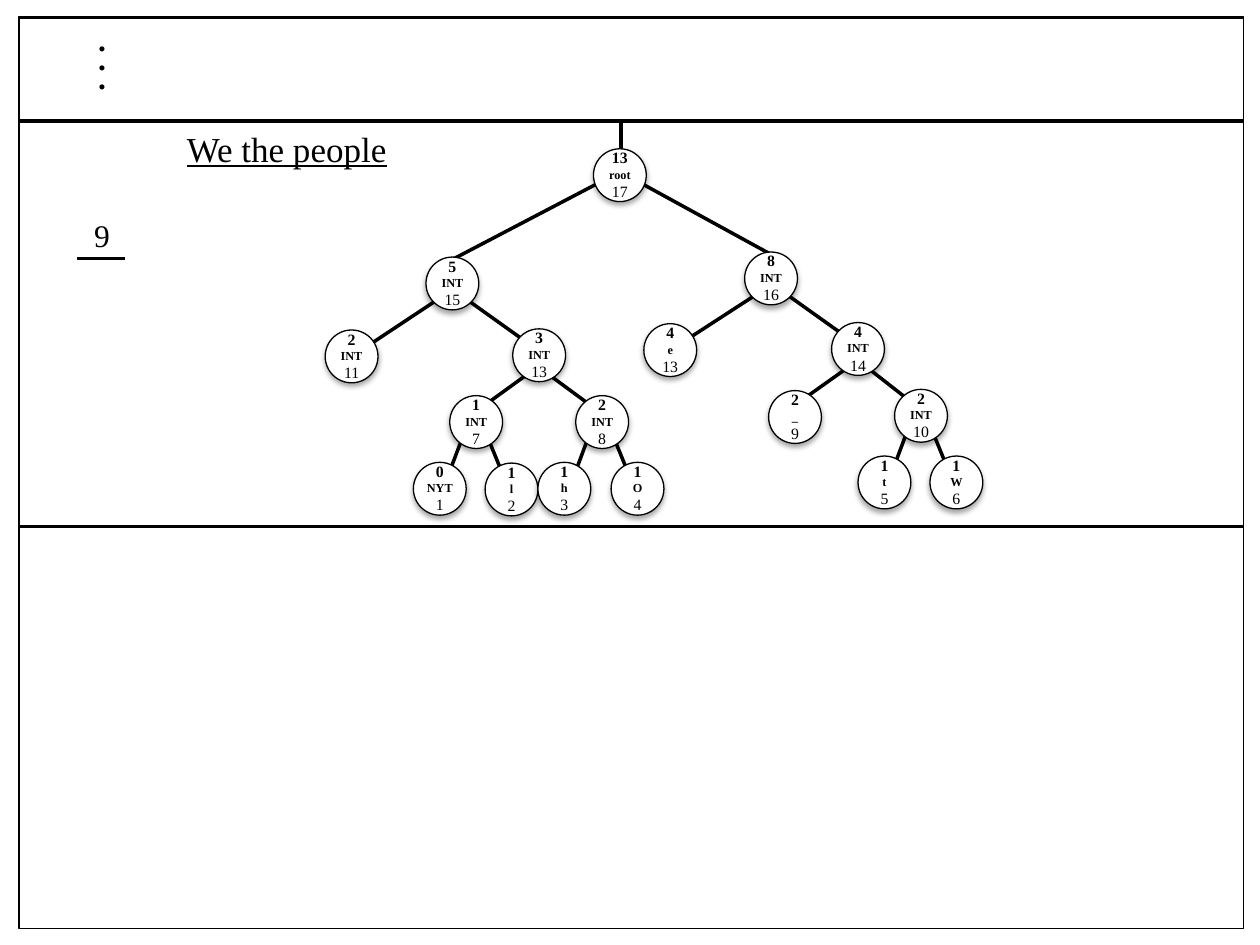
from lxml.etree import SubElement
from pptx import Presentation
from pptx.dml.color import RGBColor
from pptx.enum.shapes import MSO_CONNECTOR, MSO_SHAPE
from pptx.enum.text import MSO_ANCHOR, MSO_AUTO_SIZE, PP_ALIGN
from pptx.oxml.ns import qn
from pptx.util import Pt

BLACK = RGBColor(0, 0, 0)
WHITE = RGBColor(255, 255, 255)
DIAMETER = 30.2
TITLE_ONLY = 5

# left, top, then weight, symbol and number of each tree node
NODES = [
    (339.1, 85, "13", "root", "17"),
    (243.4, 146.9, "5", "INT", "15"),
    (425.5, 144, "8", "INT", "16"),
    (185.8, 188.6, "2", "INT", "11"),
    (293, 187.9, "3", "INT", "13"),
    (367.9, 185, "4", "e", "13"),
    (475.2, 184.3, "4", "INT", "14"),
    (257, 226.1, "1", "INT", "7"),
    (329, 226.1, "2", "INT", "8"),
    (439.2, 223.2, "2", "_", "9"),
    (511.2, 222.5, "2", "INT", "10"),
    (236.2, 264.2, "0", "NYT", "1"),
    (277.2, 264.6, "1", "l", "2"),
    (307.4, 264.2, "1", "h", "3"),
    (349.2, 264.2, "1", "O", "4"),
    (490.3, 260.6, "1", "t", "5"),
    (531.4, 260.6, "1", "W", "6"),
]

# parent end, then child end of each branch
BRANCHES = [
    (349.2, 100.8, 258.5, 148.3), (365.8, 104.4, 440.6, 145.4),
    (252, 169.9, 200.9, 203.8), (265, 169.9, 307.4, 200.2),
    (434.2, 167, 383, 200.2), (447.8, 167, 490.3, 197.3),
    (307.4, 209.5, 273.6, 234), (307.4, 209.5, 337.7, 231.8),
    (490.3, 205.9, 455.8, 230.4), (490.3, 205.9, 519.8, 229),
    (272.2, 229, 257, 269.3), (272.2, 234, 286.6, 269.3),
    (344.2, 228.2, 329, 269.3), (344.2, 234, 358.6, 269.3),
    (526.3, 225.4, 511.2, 265.7), (526.3, 230.4, 540.7, 265.7),
]


class Sketch:
    """Holds the style and the slide being drawn."""

    font = "Times New Roman"
    ink = BLACK
    paper = WHITE

    def __init__(self, slide):
        """Keep the slide that receives the elements."""
        self.slide = slide

    def fill_text(self, frame, lines, spacing=None):
        """Fill a text frame with centred lines of (text, size, format)."""
        frame.word_wrap = True
        frame.vertical_anchor = MSO_ANCHOR.TOP
        for index, (text, size, style) in enumerate(lines):
            para = frame.add_paragraph() if index else frame.paragraphs[0]
            para.alignment = PP_ALIGN.CENTER
            if spacing:
                para.line_spacing = spacing
            span = para.add_run()
            span.text = text
            span.font.name = self.font
            span.font.size = Pt(size)
            span.font.color.rgb = self.ink
            span.font.bold = style.get("bold", False)
            span.font.underline = style.get("underline", False)

    def text(self, left, top, width, height, lines, spacing=None, inset=7.2):
        """Add a text box."""
        box = self.slide.shapes.add_textbox(Pt(left), Pt(top), Pt(width), Pt(height))
        box.text_frame.margin_left = box.text_frame.margin_right = Pt(inset)
        self.fill_text(box.text_frame, lines, spacing)
        box.text_frame.auto_size = MSO_AUTO_SIZE.SHAPE_TO_FIT_TEXT

    def title(self, left, top, width, height, text, size):
        """Move the title placeholder and fill it with underlined text."""
        title = self.slide.shapes.title
        title.left, title.top = Pt(left), Pt(top)
        title.width, title.height = Pt(width), Pt(height)
        self.fill_text(title.text_frame, [(text, size, {"underline": True})])
        title.text_frame.auto_size = MSO_AUTO_SIZE.NONE

    def line(self, x1, y1, x2, y2):
        """Add a straight line without a shadow."""
        line = self.slide.shapes.add_connector(
            MSO_CONNECTOR.STRAIGHT, Pt(x1), Pt(y1), Pt(x2), Pt(y2))
        line.line.color.rgb = self.ink
        line.line.width = Pt(2)
        SubElement(line.element.spPr, qn("a:effectLst"))

    def outline(self, kind, left, top, width, height):
        """Add a thinly outlined preset shape without fill or shadow."""
        shape = self.slide.shapes.add_shape(
            kind, Pt(left), Pt(top), Pt(width), Pt(height))
        shape.shadow.inherit = False
        shape.fill.background()
        shape.line.color.rgb = self.ink
        shape.line.width = Pt(0.75)
        return shape

    def node(self, left, top, weight, symbol, number):
        """Add a shadowed tree node with its three lines of text."""
        circle = self.outline(MSO_SHAPE.OVAL, left, top, DIAMETER, DIAMETER)
        circle.fill.solid()
        circle.fill.fore_color.rgb = self.paper
        effects = circle.element.spPr.find(qn("a:effectLst"))
        shadow = SubElement(effects, qn("a:outerShdw"), blurRad=str(Pt(3.1)),
                            dist=str(Pt(1.8)), dir="5400000", rotWithShape="0")
        color = SubElement(shadow, qn("a:srgbClr"), val=str(self.ink))
        SubElement(color, qn("a:alpha"), val="35000")
        lines = [(weight, 9, {"bold": True}), (symbol, 7, {"bold": True}), (number, 9, {})]
        self.text(left, top - 4, DIAMETER, 37.4, lines, inset=0)


def main():
    """Build the slide and save it."""
    deck = Presentation()
    deck.slide_width, deck.slide_height = Pt(720), Pt(540)
    sketch = Sketch(deck.slides.add_slide(deck.slide_layouts[TITLE_ONLY]))

    sketch.outline(MSO_SHAPE.RECTANGLE, 10.8, 9.4, 699.8, 521.3)
    for rule_y in (10, 69.1, 301):
        sketch.line(11.5, rule_y, 710.5, rule_y)

    sketch.text(38.2, 17.3, 40.3, 41.8, [(".", 18, {"bold": True})] * 3, spacing=0.5)
    sketch.title(13, 69.1, 301.7, 31.7, "We the people", 20)
    sketch.text(31.7, 120.2, 53.3, 28.8, [("9", 18, {})])
    sketch.line(43.9, 147.6, 71.3, 147.6)

    sketch.line(355, 69.8, 355, 99.4)
    for branch in BRANCHES:
        sketch.line(*branch)
    for node in NODES:
        sketch.node(*node)
    deck.save("out.pptx")


main()
